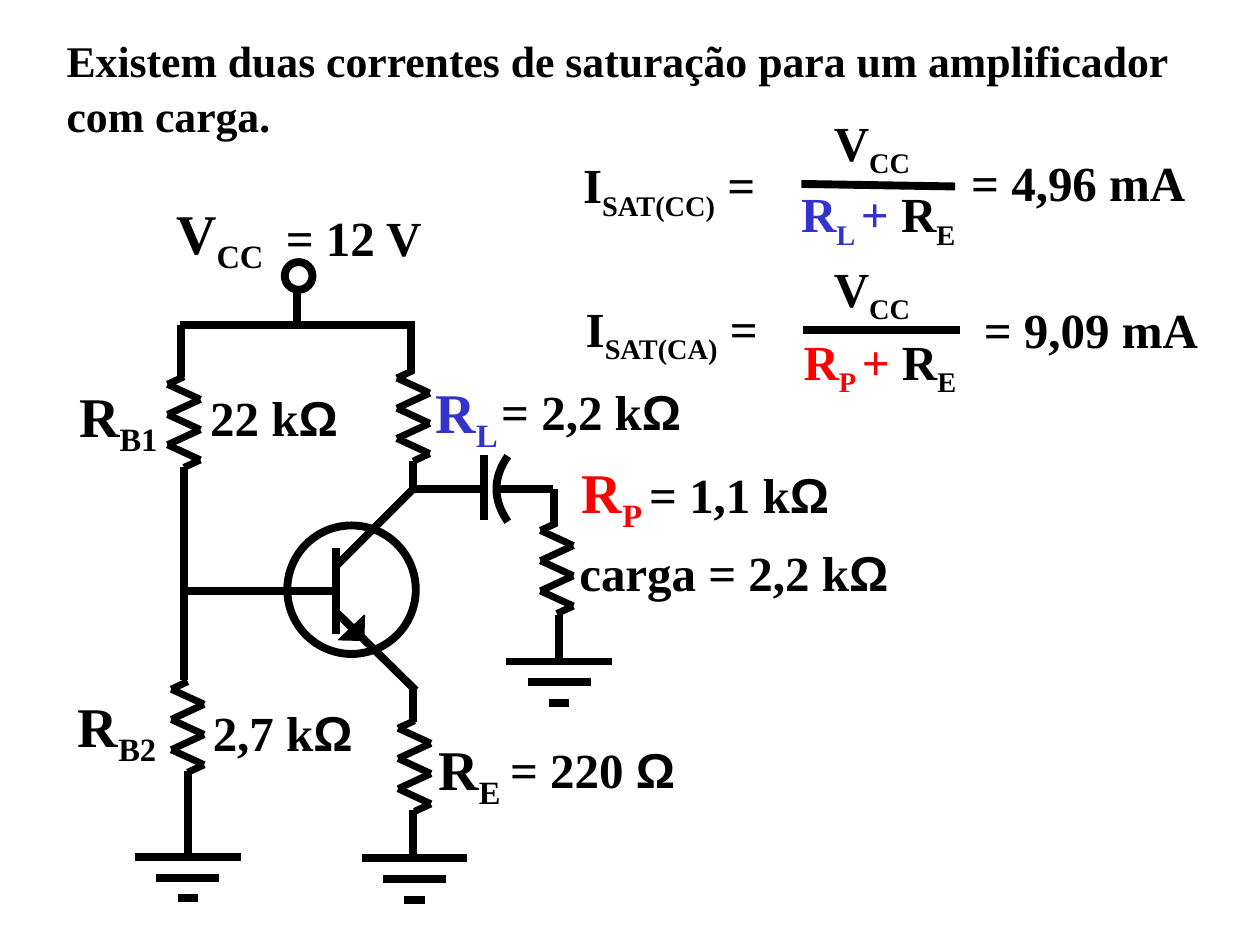
from itertools import pairwise
from lxml.etree import SubElement
from pptx import Presentation
from pptx.dml.color import RGBColor
from pptx.enum.shapes import MSO_CONNECTOR, MSO_SHAPE
from pptx.enum.text import MSO_AUTO_SIZE
from pptx.oxml.ns import qn
from pptx.util import Inches, Pt

BLACK = RGBColor(0x00, 0x00, 0x00)
BLUE = RGBColor(0x33, 0x33, 0xCC)
RED = RGBColor(0xFF, 0x00, 0x00)
SERIF, SANS = "Times New Roman", "Arial"
BIG, MID, TITLE_SIZE = 32, 28, 25
WIRE, ZIGZAG = 4.5, 4

TITLE = ["Existem duas correntes de saturação para um amplificador", "com carga."]


def symbol(name, sub, size=BIG, color=BLACK):
    return [(name, size, color, False), (sub, size, color, True)]


def plain(text, size=MID, color=BLACK):
    return [(text, size, color, False)]


def ohms(text):
    return plain(text) + [("Ω", MID, BLACK, False, SANS)]


def current(sub):
    return symbol("I", sub, MID) + plain(" =")


def divisor(sub, color):
    return symbol("R", sub + " ", MID, color) + plain("+ ", color=color) + symbol("R", "E", MID)


LABELS = [
    (0.53, 2.98, 0.87, 0.58, symbol("R", "B1")),
    (0.52, 5.44, 0.87, 0.58, symbol("R", "B2")),
    (3.38, 5.78, 0.72, 0.58, symbol("R", "E")),
    (1.3, 1.53, 0.95, 0.58, symbol("V", "CC")),
    (2.17, 1.6, 1.28, 0.52, plain("= 12 V")),
    (1.59, 5.53, 1.31, 0.57, ohms("2,7 k")),
    (1.57, 3.03, 1.22, 0.52, ohms("22 k")),
    (3.36, 2.95, 0.72, 0.58, symbol("R", "L", color=BLUE)),
    (3.88, 2.98, 1.63, 0.57, ohms("= 2,2 k")),
    (3.95, 5.82, 1.52, 0.52, ohms("= 220 ")),
    (4.5, 4.26, 2.67, 0.57, ohms("carga = 2,2 k")),
    (4.52, 3.58, 2.2, 0.64,
     symbol("R", "P", color=RED) + [(" ", MID, BLACK, True)] + ohms("= 1,1 k")),
    (4.53, 1.18, 1.82, 0.52, current("SAT(CC)")),
    (6.52, 0.84, 0.86, 0.52, symbol("V", "CC", MID)),
    (6.26, 1.41, 1.49, 0.52, divisor("L", BLUE)),
    (7.61, 1.16, 1.92, 0.57, plain("= 4,96 mA")),
    (4.55, 2.32, 1.82, 0.52, current("SAT(CA)")),
    (6.52, 2.0, 0.86, 0.52, symbol("V", "CC", MID)),
    (6.28, 2.58, 1.48, 0.52, divisor("P", RED)),
    (7.71, 2.33, 1.92, 0.57, plain("= 9,09 mA")),
]

WIRES = [
    (3.29, 3.88, 3.83, 3.88), (2.68, 4.87, 3.3, 5.48), (2.66, 4.69, 1.44, 4.69),
    (2.67, 4.49, 3.29, 3.87), (2.67, 4.35, 2.67, 5.03), (1.46, 3.71, 1.46, 5.4),
    (3.28, 3.66, 3.28, 3.91), (3.28, 5.48, 3.28, 5.73), (1.43, 2.58, 3.29, 2.58),
    (1.44, 2.58, 1.44, 2.99), (3.26, 2.96, 3.26, 2.57), (1.49, 6.12, 1.49, 6.78),
    (3.28, 6.43, 3.28, 6.81), (4.44, 4.88, 4.44, 5.25), (3.84, 4.13, 3.84, 3.61),
    (4.39, 3.88, 3.95, 3.88), (4.4, 3.88, 4.4, 4.17), (2.36, 2.59, 2.36, 2.28),
]
FRACTION_BARS = [(6.36, 1.46, 7.58, 1.48), (6.37, 2.62, 7.62, 2.62)]
RINGS = [(2.28, 4.17, 1.02), (2.26, 2.08, 0.22)]

RESISTORS = [(3.28, 2.94), (1.46, 2.99), (3.29, 5.72), (1.49, 5.41), (4.42, 4.15)]
ZIGZAG_STEPS = [(0, 0), (-0.13, 0.06), (0.13, 0.18), (-0.13, 0.3),
                (0.13, 0.42), (-0.13, 0.54), (0.13, 0.66), (0, 0.72)]
GROUNDS = [(3.29, 6.81), (1.49, 6.8), (4.44, 5.25)]
GROUND_HALVES, GROUND_STEP = (0.42, 0.25, 0.08), 0.165
PLATE_X, PLATE_Y, PLATE_DEPTH, PLATE_HALF, PLATE_PARTS = 3.94, 3.88, 0.09, 0.26, 8

prs = Presentation()
prs.slide_width, prs.slide_height = Inches(10), Inches(7.5)
s = prs.slides.add_slide(prs.slide_layouts[6])


def add_line(x1, y1, x2, y2, width=WIRE):
    sp = s.shapes.add_connector(MSO_CONNECTOR.STRAIGHT, *map(Inches, (x1, y1, x2, y2)))
    sp.line.color.rgb = BLACK
    sp.line.width = Pt(width)
    SubElement(sp._element.spPr, qn("a:effectLst"))


def outline(sp, width=WIRE):
    sp.shadow.inherit = False
    sp.fill.background()
    sp.line.color.rgb = BLACK
    sp.line.width = Pt(width)


def add_text(x, y, w, h, paragraphs, spacing=None):
    tf = s.shapes.add_textbox(*map(Inches, (x, y, w, h))).text_frame
    tf.word_wrap = False
    tf.auto_size = MSO_AUTO_SIZE.SHAPE_TO_FIT_TEXT
    for i, runs in enumerate(paragraphs):
        p = tf.add_paragraph() if i else tf.paragraphs[0]
        if spacing:
            p.line_spacing = spacing
        for text, size, color, lowered, *font in runs:
            r = p.add_run()
            r.text = text
            formats = {"size": Pt(size), "bold": True, "name": font[0] if font else SERIF}
            for key, value in formats.items():
                setattr(r.font, key, value)
            r.font.color.rgb = color
            if lowered:
                r._r.get_or_add_rPr().set("baseline", "-25000")


for x, y, d in RINGS:
    outline(s.shapes.add_shape(MSO_SHAPE.OVAL, *map(Inches, (x, y, d, d))))

for wire in WIRES + FRACTION_BARS:
    add_line(*wire)

emitter = s.shapes.add_shape(MSO_SHAPE.RIGHT_TRIANGLE, *map(Inches, (2.69, 4.88, 0.2, 0.2)))
outline(emitter, 0.75)
emitter.fill.solid()
emitter.fill.fore_color.rgb = BLACK
emitter.rotation = 271.3

for x, y in RESISTORS:
    for (x1, y1), (x2, y2) in pairwise(ZIGZAG_STEPS):
        add_line(x + x1, y + y1, x + x2, y + y2, ZIGZAG)

for x, y in GROUNDS:
    for i, half in enumerate(GROUND_HALVES):
        bar_y = y + i * GROUND_STEP
        add_line(x - half, bar_y, x + half, bar_y)

steps = [i / PLATE_PARTS for i in range(-PLATE_PARTS, PLATE_PARTS + 1)]
curve = [(Inches(PLATE_X + PLATE_DEPTH * t * t), Inches(PLATE_Y + PLATE_HALF * t)) for t in steps]
plate = s.shapes.build_freeform(*curve[0])
plate.add_line_segments(curve[1:], close=False)
outline(plate.convert_to_shape())

add_text(0.43, 0.2, 9.05, 0.86, [plain(text, TITLE_SIZE) for text in TITLE], 1.05)
for x, y, w, h, runs in LABELS:
    add_text(x, y, w, h, [runs])

prs.save("out.pptx")
